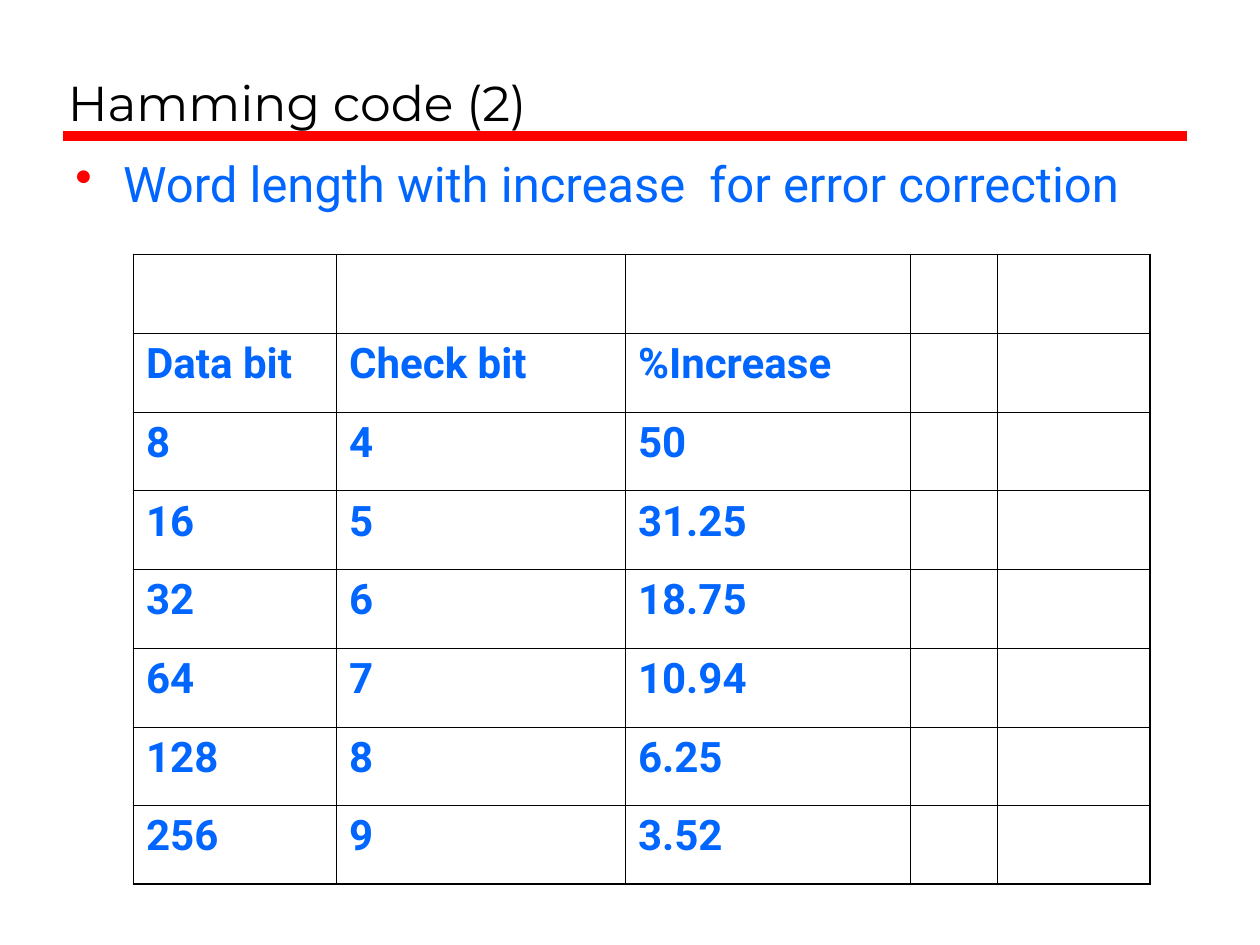
from lxml.etree import SubElement
from pptx import Presentation
from pptx.dml.color import RGBColor
from pptx.enum.shapes import MSO_CONNECTOR
from pptx.enum.text import MSO_ANCHOR as Anchor
from pptx.oxml.ns import qn
from pptx.util import Inches, Pt

BLACK = RGBColor(0x00, 0x00, 0x00)
RED = RGBColor(0xFF, 0x00, 0x00)
BLUE = RGBColor(0x00, 0x66, 0xFF)
WHITE = RGBColor(0xFF, 0xFF, 0xFF)

HEADING_FONT = "Montserrat"
BODY_FONT = "Roboto"
THIN, THICK = 0.45, 1.08  # inner grid and outer frame, in points

COLUMN_WIDTHS = [1.61, 2.29, 2.26, 0.69, 1.21]
TABLE_ROWS = [
    [],
    ["Data bit", "Check bit", "%Increase"],
    ["8", "4", "50"],
    ["16", "5", "31.25"],
    ["32", "6", "18.75"],
    ["64", "7", "10.94"],
    ["128", "8", "6.25"],
    ["256", "9", "3.52"],
]


def write_text(frame, text, font=BODY_FONT, size=28, color=BLUE, bold=False,
               anchor=Anchor.TOP, bullet_color=None):
    frame.word_wrap = True
    frame.vertical_anchor = anchor
    paragraph = frame.paragraphs[0]
    if bullet_color is not None:
        add_bullet(paragraph, bullet_color)
    run = paragraph.add_run()
    run.text = text
    run.font.name = font
    run.font.size = Pt(size)
    run.font.bold = bold
    run.font.color.rgb = color


def add_bullet(paragraph, color, indent=0.38):
    properties = paragraph._p.get_or_add_pPr()
    properties.set("marL", str(Inches(indent)))
    properties.set("indent", str(-Inches(indent)))
    bullet_color = SubElement(properties, qn("a:buClr"))
    SubElement(bullet_color, qn("a:srgbClr"), val=str(color))
    SubElement(properties, qn("a:buChar"), char="•")


def set_borders(cell, widths, color=BLACK):
    """Widths are in points, keyed by side in the order L, R, T, B."""
    properties = cell._tc.get_or_add_tcPr()
    for side, width in widths.items():
        line = SubElement(properties, qn(f"a:ln{side}"), w=str(Pt(width)))
        fill = SubElement(line, qn("a:solidFill"))
        SubElement(fill, qn("a:srgbClr"), val=str(color))


def add_heading(slide, left, top, width, height):
    box = slide.shapes.add_textbox(left, top, width, height)
    write_text(box.text_frame, "Hamming code (2)", font=HEADING_FONT,
               color=BLACK, anchor=Anchor.BOTTOM)


def add_rule(slide, left, top, width):
    rule = slide.shapes.add_connector(
        MSO_CONNECTOR.STRAIGHT, left, top, left + width, top)
    rule.line.color.rgb = RED
    rule.line.width = Pt(6)
    SubElement(rule._element.spPr, qn("a:effectLst"))


def add_body(slide, left, top, width, height):
    box = slide.shapes.add_textbox(left, top, width, height)
    write_text(box.text_frame, "Word length with increase  for error correction",
               bullet_color=RED)


def add_code_table(slide, left, top, width, height):
    row_count, column_count = len(TABLE_ROWS), len(COLUMN_WIDTHS)
    table = slide.shapes.add_table(
        row_count, column_count, left, top, width, height).table
    table.first_row = table.horz_banding = False
    for column, share in zip(table.columns, COLUMN_WIDTHS):
        column.width = int(width * share / sum(COLUMN_WIDTHS))

    for row, values in enumerate(TABLE_ROWS):
        for column in range(column_count):
            cell = table.cell(row, column)
            on_edge = {"L": column == 0, "R": column == column_count - 1,
                       "T": row == 0, "B": row == row_count - 1}
            set_borders(cell, {side: THICK if edge else THIN
                               for side, edge in on_edge.items()})
            cell.fill.background()
            if column < len(values):
                write_text(cell.text_frame, values[column], size=24, bold=True)


def main():
    presentation = Presentation()
    presentation.slide_width = Inches(10)
    presentation.slide_height = Inches(7.5)
    slide = presentation.slides.add_slide(presentation.slide_layouts[6])
    slide.background.fill.solid()
    slide.background.fill.fore_color.rgb = WHITE

    # Heading with its rule
    add_rule(slide, Inches(0.5), Inches(1.08), Inches(8.92))
    add_heading(slide, Inches(0.44), Inches(0.17), Inches(8.97), Inches(0.92))

    # Bullet and table
    add_body(slide, Inches(0.5), Inches(1.17), Inches(8.94), Inches(6.17))
    add_code_table(slide, Inches(1.06), Inches(2.02), Inches(8.07), Inches(5))

    presentation.save("out.pptx")


if __name__ == "__main__":
    main()
